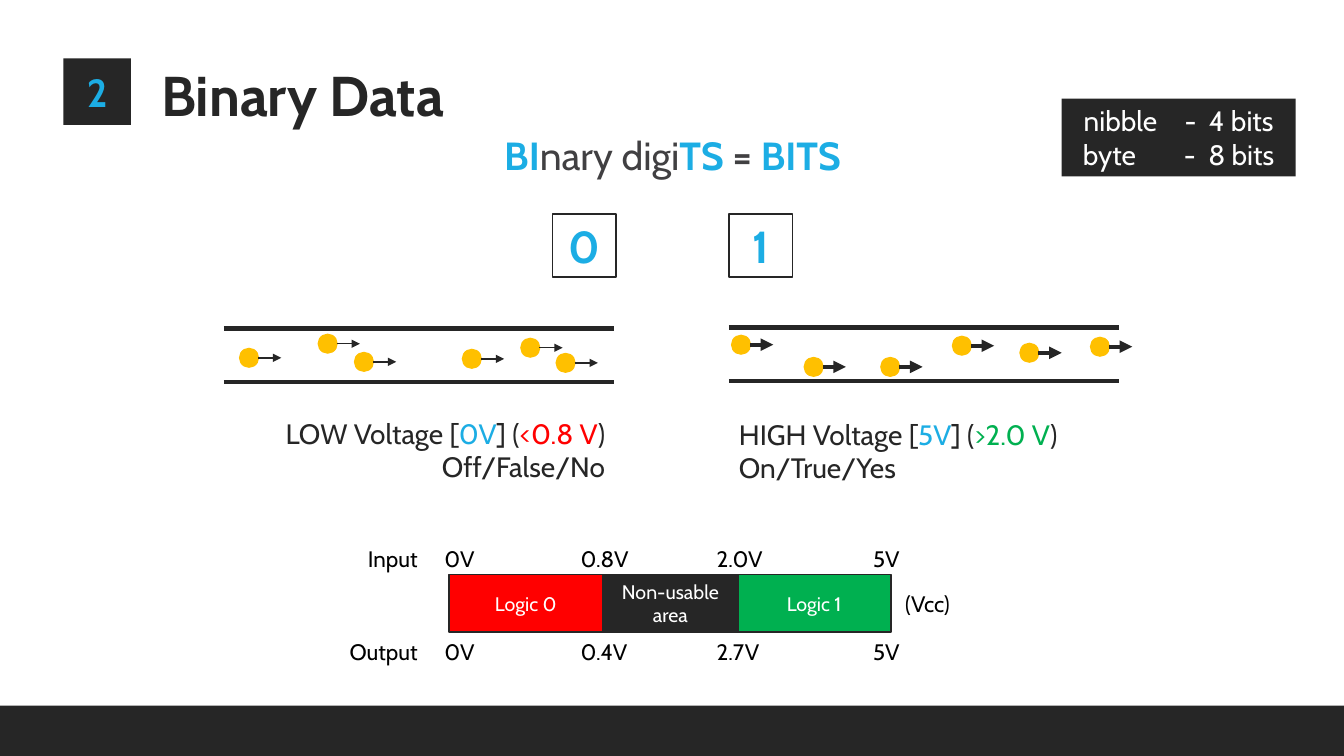
from dataclasses import dataclass

import pptx
import pptx.dml.color
import pptx.enum.shapes
import pptx.enum.text
import pptx.oxml
import pptx.oxml.ns
import pptx.util
from pptx.dml.color import RGBColor
from pptx.util import Inches

INK = RGBColor(0x26, 0x26, 0x26)
GREY = RGBColor(0x41, 0x40, 0x42)
BLUE = RGBColor(0x1C, 0xAD, 0xE4)
RED = RGBColor(0xFF, 0x00, 0x00)
GREEN = RGBColor(0x00, 0xB0, 0x50)
AMBER = RGBColor(0xFF, 0xC0, 0x00)
WHITE = RGBColor(0xFF, 0xFF, 0xFF)
BLACK = RGBColor(0x00, 0x00, 0x00)

FONT = "Cabin"
LEFT = pptx.enum.text.PP_ALIGN.LEFT
CENTER = pptx.enum.text.PP_ALIGN.CENTER
RIGHT = pptx.enum.text.PP_ALIGN.RIGHT
TOP = pptx.enum.text.MSO_ANCHOR.TOP
MIDDLE = pptx.enum.text.MSO_ANCHOR.MIDDLE
RECTANGLE = pptx.enum.shapes.MSO_SHAPE.RECTANGLE
OVAL = pptx.enum.shapes.MSO_SHAPE.OVAL
STRAIGHT = pptx.enum.shapes.MSO_CONNECTOR.STRAIGHT


@dataclass(frozen=True)
class Area:
    left: float
    top: float
    width: float
    height: float

    def lengths(self) -> list[int]:
        return [Inches(n) for n in (self.left, self.top, self.width, self.height)]


@dataclass(frozen=True)
class Span:
    text: str
    color: RGBColor
    bold: bool = False


@dataclass(frozen=True)
class Wire:
    """A pair of rails with electrons, given by left and top, moving right."""
    left: float
    top: float
    arrow_points: float
    electrons: tuple[tuple[float, float], ...]


@dataclass(frozen=True)
class LogicBand:
    text: str
    left: float
    width: float
    fill: RGBColor


@dataclass(frozen=True)
class VoltageMark:
    left: float
    width: float
    input_text: str
    output_text: str
    align: pptx.enum.text.PP_ALIGN = LEFT


WIRES = (
    Wire(2.22, 3.26, 1, ((2.37, 3.45), (3.15, 3.31), (3.51, 3.49),
                         (4.58, 3.46), (5.16, 3.35), (5.51, 3.5))),
    Wire(7.23, 3.25, 3, ((7.25, 3.32), (7.97, 3.54), (8.73, 3.54),
                         (9.44, 3.33), (10.11, 3.4), (10.81, 3.34))),
)
BANDS = (
    LogicBand("Logic 1", 7.31, 1.53, GREEN),
    LogicBand("Logic 0", 4.45, 1.53, RED),
    LogicBand("Non-usable area", 5.98, 1.34, INK),
)
MARKS = (
    VoltageMark(3.22, 1.02, "Input", "Output", RIGHT),
    VoltageMark(4.31, 0.52, "0V", "0V"),
    VoltageMark(5.66, 0.7, "0.8V", "0.4V"),
    VoltageMark(7.01, 0.7, "2.0V", "2.7V"),
    VoltageMark(8.49, 0.53, "5V", "5V", RIGHT),
)


def write(shape, lines: list[list[Span]], size: float, align=LEFT, anchor=TOP) -> None:
    frame = shape.text_frame
    frame.word_wrap = True
    frame.vertical_anchor = anchor
    for index, spans in enumerate(lines):
        para = frame.add_paragraph() if index else frame.paragraphs[0]
        para.alignment = align
        for span in spans:
            run = para.add_run()
            run.text = span.text
            run.font.name = FONT
            run.font.size = pptx.util.Pt(size)
            run.font.bold = span.bold
            run.font.color.rgb = span.color


def add_text(page, area: Area, lines: list[list[Span]], size: float, align=LEFT) -> None:
    write(page.shapes.add_textbox(*area.lengths()), lines, size, align)


def add_block(page, area: Area, fill: RGBColor, outlined: bool = False, kind=RECTANGLE):
    block = page.shapes.add_shape(kind, *area.lengths())
    block.shadow.inherit = False
    block.fill.solid()
    block.fill.fore_color.rgb = fill
    if outlined:
        block.line.color.rgb = INK
        block.line.width = pptx.util.Pt(1.25)
    else:
        block.line.fill.background()
    return block


def add_line(page, left: float, top: float, length: float, points: float,
             arrow: bool = False) -> None:
    """Draw a level line, with an arrowhead at its right end if asked."""
    line = page.shapes.add_connector(
        STRAIGHT, Inches(left), Inches(top), Inches(left + length), Inches(top))
    line.line.color.rgb = INK
    line.line.width = pptx.util.Pt(points)
    properties = line._element.spPr
    qn = pptx.oxml.ns.qn
    if arrow:
        head = properties.find(qn("a:ln")).makeelement(qn("a:tailEnd"), {"type": "triangle"})
        properties.find(qn("a:ln")).append(head)
    properties.append(properties.makeelement(qn("a:effectLst"), {}))


def add_wire(page, wire: Wire) -> None:
    for top in (wire.top, wire.top + 0.53):
        add_line(page, wire.left, top, 3.87, 3)
    for left, top in wire.electrons:
        add_block(page, Area(left, top, 0.2, 0.2), AMBER, kind=OVAL)
        add_line(page, left + 0.19, top + 0.1, 0.23, wire.arrow_points, arrow=True)


def add_heading(page) -> None:
    number = add_block(page, Area(0.63, 0.58, 0.67, 0.66), INK)
    write(number, [[Span("2", BLUE, True)]], 28, CENTER, MIDDLE)
    add_text(page, Area(1.5, 0.55, 3.48, 0.77), [[Span("Binary Data", INK, True)]], 40)
    add_text(page, Area(4.46, 1.25, 4.42, 0.57), [[
        Span("BI", BLUE, True), Span("nary digi", GREY), Span("TS", BLUE, True),
        Span(" = ", GREY, True), Span("BITS", BLUE, True)]], 28, CENTER)
    units = add_block(page, Area(10.53, 0.98, 2.32, 0.77), INK)
    write(units, [[Span("nibble\t-  4 bits", WHITE)],
                  [Span("byte \t-  8 bits", WHITE)]], 20, CENTER)


def add_levels(page) -> None:
    for digit, left in (("0", 5.48), ("1", 7.23)):
        box = add_block(page, Area(left, 2.12, 0.63, 0.63), WHITE, outlined=True)
        write(box, [[Span(digit, BLUE, True)]], 32, CENTER, MIDDLE)
    for wire in WIRES:
        add_wire(page, wire)
    for area, name, volts, limit, color, meaning, align in (
        (Area(2.17, 4.08, 3.93, 0.77), "LOW", "0V", "<0.8 V", RED, "Off/False/No", RIGHT),
        (Area(7.23, 4.09, 3.56, 0.77), "HIGH", "5V", ">2.0 V", GREEN, "On/True/Yes", LEFT),
    ):
        add_text(page, area, [
            [Span(f"{name} Voltage [", INK), Span(volts, BLUE), Span("] (", INK),
             Span(limit, color), Span(")", INK)],
            [Span(meaning, INK)]], 20, align)


def add_voltage_scale(page) -> None:
    for band in BANDS:
        block = add_block(page, Area(band.left, 5.7, band.width, 0.57), band.fill, outlined=True)
        write(block, [[Span(band.text, WHITE)]], 14, CENTER, MIDDLE)
    for mark in MARKS:
        for text, top in ((mark.input_text, 5.36), (mark.output_text, 6.28)):
            add_text(page, Area(mark.left, top, mark.width, 0.37),
                     [[Span(text, BLACK)]], 16, mark.align)
    add_text(page, Area(8.88, 5.81, 1.02, 0.37), [[Span("(Vcc)", BLACK)]], 16)


def main() -> None:
    deck = pptx.Presentation()
    deck.slide_width, deck.slide_height = Inches(13.33), Inches(7.5)
    page = deck.slides.add_slide(deck.slide_layouts[6])
    add_block(page, Area(0, 7, 13.33, 0.5), INK)
    add_heading(page)
    add_levels(page)
    add_voltage_scale(page)
    deck.save("out.pptx")


if __name__ == "__main__":
    main()
